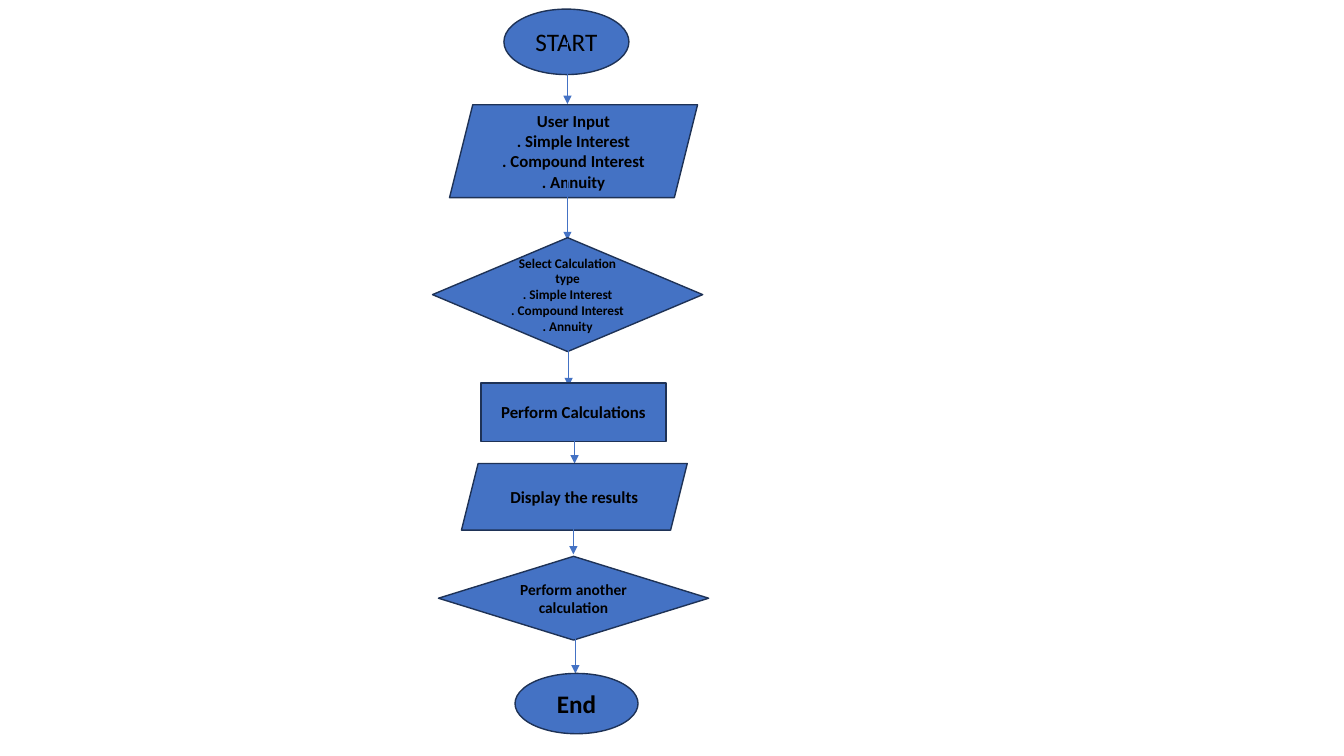
from lxml.etree import SubElement
from pptx import Presentation
from pptx.dml.color import RGBColor as RGB
from pptx.enum.shapes import MSO_CONNECTOR as Link, MSO_SHAPE as Kind
from pptx.enum.text import MSO_ANCHOR as Anchor, PP_ALIGN as Align
from pptx.oxml.ns import qn
from pptx.util import Cm, Pt

hues = {"fill": "4472C4", "edge": "1E3256", "text": "000000"}
tints = {name: RGB.from_string(code) for name, code in hues.items()}

deck = Presentation()
deck.slide_width, deck.slide_height = Cm(33.87), Cm(19.05)
slide = deck.slides.add_slide(deck.slide_layouts[6])

types = "\n. Simple Interest\n. Compound Interest\n. Annuity"
steps = [
    (Kind.OVAL, (12.7, 0.23, 3.15, 1.65), "START", 18, False),
    (Kind.PARALLELOGRAM, (11.33, 2.64, 6.25, 2.34), "User Input" + types, 12, True),
    (Kind.DIAMOND, (10.9, 5.99, 6.81, 2.87), "Select Calculation type" + types, 9.5, True),
    (Kind.RECTANGLE, (12.12, 9.65, 4.67, 1.47), "Perform Calculations", 12, True),
    (Kind.PARALLELOGRAM, (11.63, 11.68, 5.69, 1.68), "Display the results", 12, True),
    (Kind.DIAMOND, (11.05, 14.02, 6.81, 2.11), "Perform another calculation", 11, True),
    (Kind.OVAL, (12.98, 16.97, 3.1, 1.52), "End", 18, True),
]
flows = [
    (14.3, 1.07, 2.62),
    (14.3, 4.39, 6.05),
    (14.33, 8.59, 9.73),
    (14.48, 10.62, 11.68),
    (14.45, 12.73, 13.97),
    (14.5, 15.8, 16.97),
]

for i, (kind, box, text, size, bold) in enumerate(steps):
    step = slide.shapes.add_shape(kind, *map(Cm, box))
    step.shadow.inherit = False
    step.fill.solid()
    step.fill.fore_color.rgb = tints["fill"]
    step.line.color.rgb = tints["edge"]
    step.line.width = Pt(1)
    frame = step.text_frame
    frame.text = text
    frame.word_wrap = True
    frame.vertical_anchor = Anchor.MIDDLE
    for para in frame.paragraphs:
        para.alignment = Align.CENTER
        font = para.runs[0].font
        for key, val in {"name": "Calibri", "size": Pt(size), "bold": bold}.items():
            setattr(font, key, val)
        font.color.rgb = tints["text"]

    if i < len(flows):
        x, top, end = map(Cm, flows[i])
        flow = slide.shapes.add_connector(Link.STRAIGHT, x, top, x, end)
        flow.line.color.rgb = tints["fill"]
        flow.line.width = Pt(0.5)
        SubElement(flow.line._get_or_add_ln(), qn("a:tailEnd"), type="triangle")
        SubElement(flow._element.spPr, qn("a:effectLst"))

deck.save("out.pptx")
